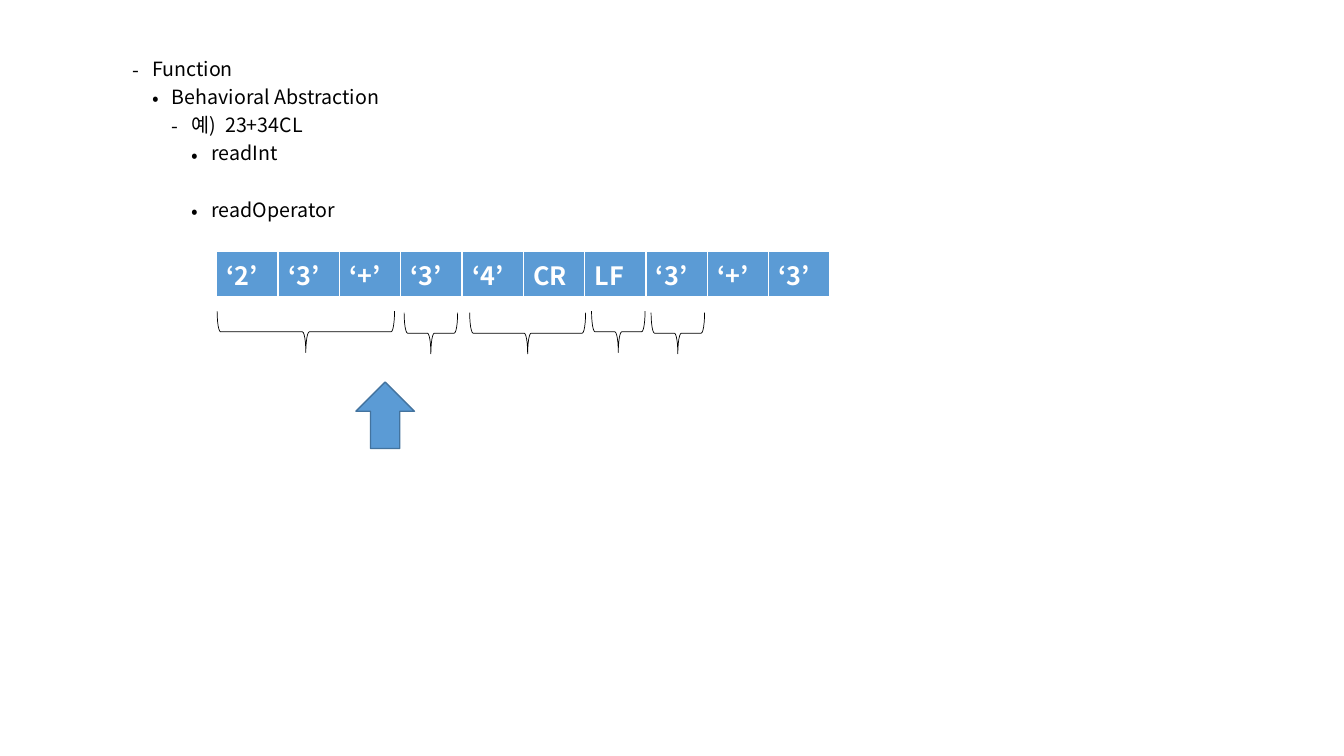
import pptx
import pptx.util
import pptx.oxml
import pptx.oxml.ns
import pptx.dml.color
import pptx.enum.shapes
import pptx.enum.text
from dataclasses import dataclass

Pt = pptx.util.Pt
Shape = pptx.enum.shapes.MSO_SHAPE


@dataclass(frozen=True)
class Theme:
    font: str = "Noto Sans CJK KR"
    ink: str = "000000"
    white: str = "FFFFFF"
    blue: str = "5B9BD5"
    edge: str = "43739E"
    body: float = 14
    cell: float = 18


class Board:
    def __init__(self, slide, theme):
        self.slide = slide
        self.theme = theme

    def color(self, code):
        return pptx.dml.color.RGBColor.from_string(code)

    def node(self, owner, tag, **attrs):
        item = pptx.oxml.ns.qn(tag)
        child = owner.makeelement(item, attrs)
        owner.append(child)
        return child

    def style(self, para, size, code, bold=False):
        for run in para.runs:
            font = run.font
            font.name = self.theme.font
            font.size = Pt(size)
            font.bold = bold
            font.color.rgb = self.color(code)
            self.node(font._element, "a:ea", typeface=self.theme.font)

    def outline(self, items, box):
        holder = self.slide.placeholders[1]
        holder.left, holder.top, holder.width, holder.height = map(Pt, box)
        frame = holder.text_frame
        frame.word_wrap = True
        frame.auto_size = pptx.enum.text.MSO_AUTO_SIZE.NONE
        frame.vertical_anchor = pptx.enum.text.MSO_ANCHOR.TOP
        frame.text = "\n".join(text for text, *rest in items)
        for para, (text, level, mark, gap) in zip(frame.paragraphs, items):
            para.level = level
            para.line_spacing = 0.9
            para.space_before = Pt(gap)
            para.space_after = Pt(0)
            props = para._p.get_or_add_pPr()
            props.set("marL", str(Pt(21.2 + 14.1 * level)))
            props.set("indent", str(-Pt(14.1)))
            self.node(props, "a:buFont", typeface=self.theme.font)
            self.node(props, "a:buChar", char=mark)
            self.style(para, self.theme.body, self.theme.ink)

    def border(self, cell):
        props = cell._tc.get_or_add_tcPr()
        for side, width in (("L", 1), ("R", 1), ("T", 1), ("B", 3)):
            line = self.node(props, "a:ln" + side, w=str(Pt(width)))
            fill = self.node(line, "a:solidFill")
            self.node(fill, "a:srgbClr", val=self.theme.white)

    def row(self, texts, box):
        grid = self.slide.shapes.add_table(1, len(texts), *map(Pt, box)).table
        for index, text in enumerate(texts):
            grid.columns[index].width = Pt(box[2] / len(texts))
            cell = grid.cell(0, index)
            cell.text_frame.text = text
            self.style(cell.text_frame.paragraphs[0], self.theme.cell,
                       self.theme.white, True)
            self.border(cell)
            cell.fill.solid()
            cell.fill.fore_color.rgb = self.color(self.theme.blue)

    def shape(self, kind, box, line, width, fill=None):
        shape = self.slide.shapes.add_shape(kind, *map(Pt, box))
        shape.shadow.inherit = False
        shape.line.color.rgb = self.color(line)
        shape.line.width = Pt(width)
        if fill:
            shape.fill.solid()
            shape.fill.fore_color.rgb = self.color(fill)
        else:
            shape.fill.background()
        return shape

    def brace(self, mid, span, level):
        depth = 29.5
        box = (mid - depth / 2, level - span / 2, depth, span)
        shape = self.shape(Shape.LEFT_BRACE, box, self.theme.ink, 0.5)
        shape.rotation = 270

    def arrow(self, box):
        self.shape(Shape.UP_ARROW, box, self.theme.edge, 1, self.theme.blue)


def main():
    deck = pptx.Presentation()
    deck.slide_width, deck.slide_height = Pt(960), Pt(540)
    slide = deck.slides.add_slide(deck.slide_layouts[1])
    title = slide.shapes.title._element
    title.getparent().remove(title)
    board = Board(slide, Theme())

    board.outline([
        ("Function", 1, "-", 5),
        ("Behavioral Abstraction", 2, "•", 5),
        ("예)  23+34CL", 3, "-", 5),
        ("readInt", 4, "•", 5),
        ("readOperator", 4, "•", 25.3),
    ], (66.2, 38.9, 386, 486.7))

    board.row(["‘2’", "‘3’", "‘+’", "‘3’", "‘4’",
               "CR", "LF", "‘3’", "‘+’", "‘3’"], (154.8, 179.3, 438, 29.5))

    for mid, span, level in (
        (218.5, 126.7, 237),
        (307.8, 38.2, 238),
        (376.9, 82.8, 238),
        (441.7, 38.2, 237),
        (484.2, 38.2, 238),
    ):
        board.brace(mid, span, level)

    board.arrow((254.2, 272.9, 41.8, 47.5))
    deck.save("out.pptx")


if __name__ == "__main__":
    main()
